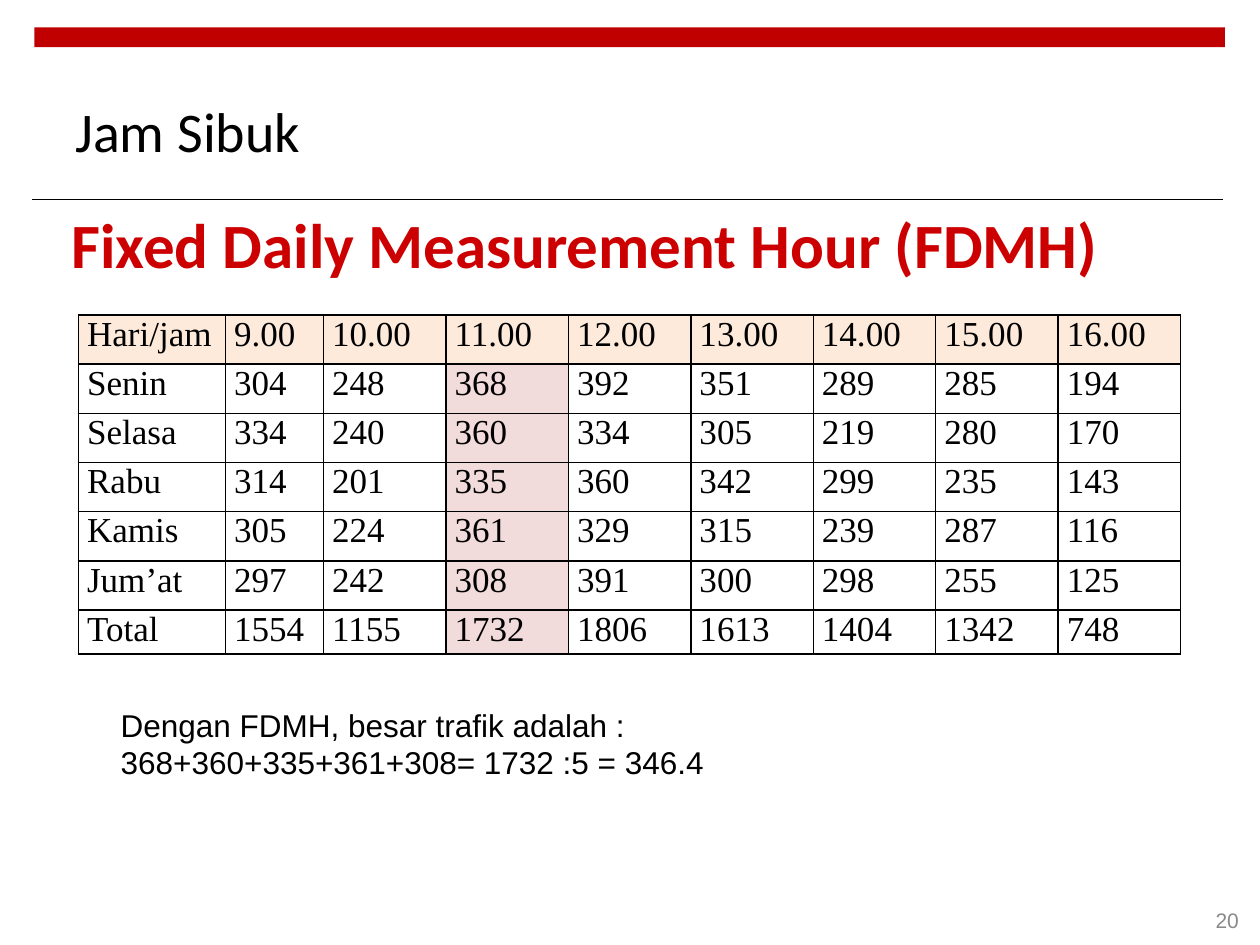
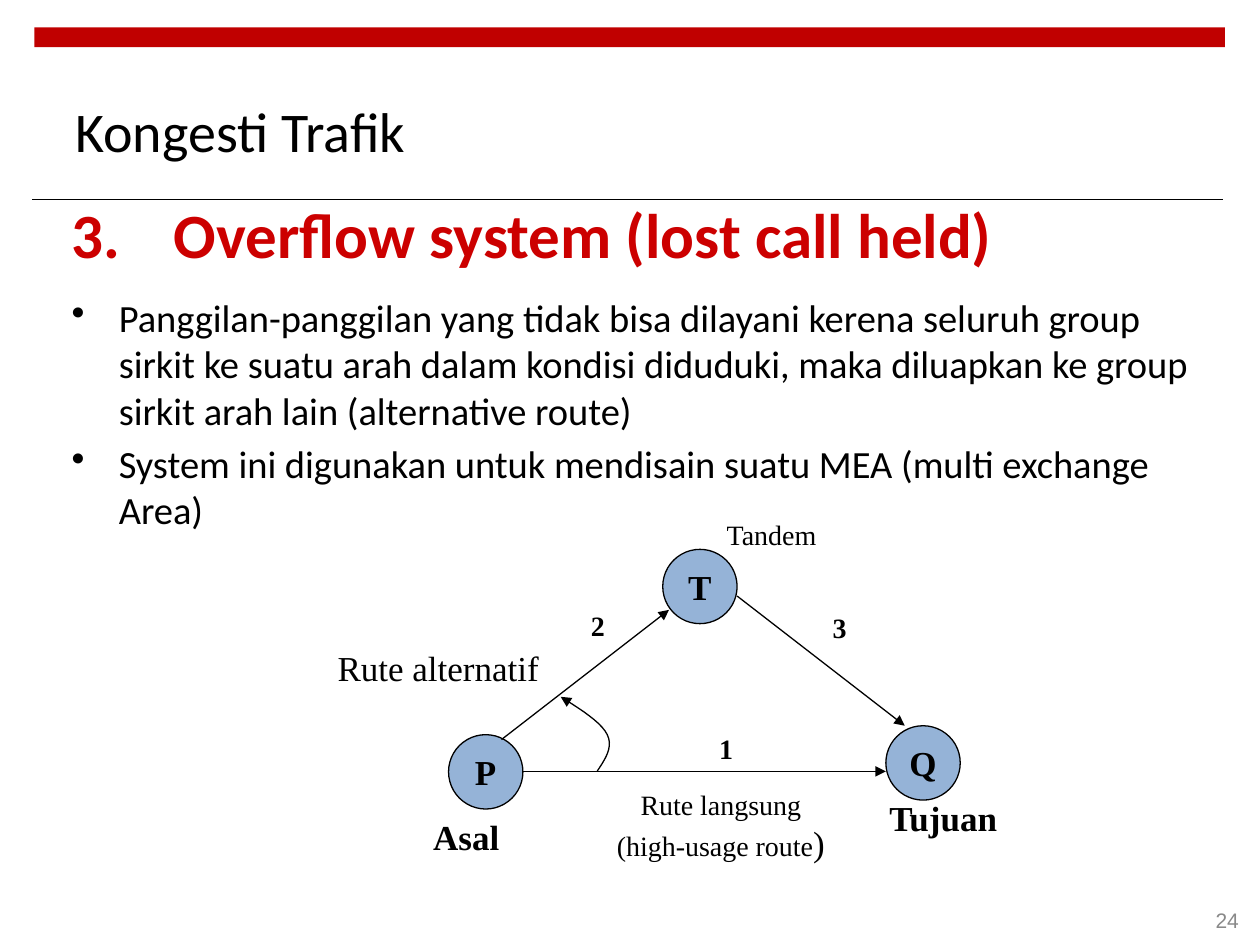
from lxml import etree
from pptx import Presentation
from pptx.dml.color import RGBColor
from pptx.enum.shapes import MSO_CONNECTOR, MSO_SHAPE
from pptx.enum.text import MSO_ANCHOR, PP_ALIGN
from pptx.oxml.ns import qn
from pptx.util import Pt

LEFT, MID, RIGHT, JUST = PP_ALIGN.LEFT, PP_ALIGN.CENTER, PP_ALIGN.RIGHT, PP_ALIGN.JUSTIFY
TOP, CENTER = MSO_ANCHOR.TOP, MSO_ANCHOR.MIDDLE
OVAL, RECT = MSO_SHAPE.OVAL, MSO_SHAPE.RECTANGLE
LINE = MSO_CONNECTOR.STRAIGHT

HUES = {
    "band": "C00000", "head": "CC0000", "ink": "000000", "page": "898989",
    "top": "FDEADA", "busy": "F2DCDB", "node": "95B3D7",
}
SANS, BODY, SERIF = "Arial", "Calibri", "Times New Roman"

HOURS = [
    ["Hari/jam", "9.00", "10.00", "11.00", "12.00", "13.00", "14.00", "15.00", "16.00"],
    ["Senin", "304", "248", "368", "392", "351", "289", "285", "194"],
    ["Selasa", "334", "240", "360", "334", "305", "219", "280", "170"],
    ["Rabu", "314", "201", "335", "360", "342", "299", "235", "143"],
    ["Kamis", "305", "224", "361", "329", "315", "239", "287", "116"],
    ["Jum’at", "297", "242", "308", "391", "300", "298", "255", "125"],
    ["Total", "1554", "1155", "1732", "1806", "1613", "1404", "1342", "748"],
]
WIDTHS = [84, 56] + [70] * 7
HEIGHTS = [28.1] * 6 + [25.2]
BUSY = 3
RESULT = ["Dengan FDMH, besar trafik adalah :", "368+360+335+361+308= 1732 :5 = 346.4"]

POINTS = [
    "Overflow system (lost call held)",
    "Panggilan-panggilan yang tidak bisa dilayani kerena seluruh group sirkit "
    "ke suatu arah dalam kondisi diduduki, maka diluapkan ke group sirkit arah "
    "lain (alternative route)",
    "System ini digunakan untuk mendisain suatu MEA (multi exchange Area)",
]
NODES = [("P", 256.3, 419.8), ("Q", 506.2, 414.7), ("T", 378.7, 313.9)]
SIZE = 42.5
ROUTES = [
    (298.8, 440.8, 506.2, 440.8),
    (286.6, 422.6, 382.3, 348.5),
    (421.2, 340.6, 517, 414.7),
]
BEND = [
    [(341.3, 440.6), (345.6, 434.2), (350.6, 427), (347, 419.8)],
    [(347, 419.8), (343.4, 412.6), (331.9, 405.4), (320.4, 398.2)],
]
LABELS = [
    ("1", 403.9, 414.7, 22.3, 26.6, 16, True),
    ("2", 330.5, 344.2, 22.3, 26.6, 16, True),
    ("3", 468.7, 345.6, 22.3, 26.6, 16, True),
    ("Asal", 240.5, 462.2, 52.6, 31.7, 20, True),
    ("Tujuan", 501.1, 451.4, 76.3, 31.7, 20, True),
    ("Tandem", 408.2, 292.3, 66.2, 26.6, 16, False),
]


def hue(name):
    return RGBColor.from_string(HUES[name])


def style(part, face, size, color="ink", bold=False):
    font = part.font
    font.name, font.size, font.bold = face, Pt(size), bold
    font.color.rgb = hue(color)


def text(slide, lines, at, face, size, color="ink", bold=False,
         align=LEFT, anchor=TOP, wrap=True):
    frame = slide.shapes.add_textbox(*map(Pt, at)).text_frame
    frame.word_wrap, frame.vertical_anchor = wrap, anchor
    frame.text = "\n".join(lines)
    for para in frame.paragraphs:
        para.alignment = align
        for run in para.runs:
            style(run, face, size, color, bold)
    return frame


def shape(slide, kind, at, fill, line=None):
    item = slide.shapes.add_shape(kind, *map(Pt, at))
    item.shadow.inherit = False
    item.fill.solid()
    item.fill.fore_color.rgb = hue(fill)
    if line:
        item.line.color.rgb = hue("ink")
        item.line.width = Pt(line)
    else:
        item.line.fill.background()
    return item


def ink(item, width, arrow=False):
    item.line.color.rgb = hue("ink")
    item.line.width = Pt(width)
    if arrow:
        etree.SubElement(item.line._get_or_add_ln(), qn("a:tailEnd"),
                         type="triangle", w="med", len="med")


def link(slide, ends, width, arrow=False):
    item = slide.shapes.add_connector(LINE, *map(Pt, ends))
    ink(item, width, arrow)
    etree.SubElement(item._element.spPr, qn("a:effectLst"))


def mark(para, indent, tag, **attrs):
    props = para._p.get_or_add_pPr()
    props.set("marL", str(Pt(indent)))
    props.set("indent", str(-Pt(indent)))
    etree.SubElement(props, qn(tag), **attrs)


def base(deck, title, page):
    slide = deck.slides.add_slide(deck.slide_layouts[6])
    shape(slide, RECT, (19.6, 15.6, 680.4, 11.3), "band")
    link(slide, (18.5, 114.2, 698.6, 114.2), 0.6)
    text(slide, [title], (36, 37.4, 479.5, 74.2), BODY, 32, anchor=CENTER)
    text(slide, [page], (547.2, 511.2, 167.8, 28.8), SANS, 12, "page",
         align=RIGHT, anchor=CENTER)
    return slide


def border(cell):
    props = cell._tc.get_or_add_tcPr()
    for side in "LRTB":
        edge = etree.SubElement(props, qn("a:ln" + side), w=str(Pt(1)))
        fill = etree.SubElement(edge, qn("a:solidFill"))
        etree.SubElement(fill, qn("a:srgbClr"), val=HUES["ink"])


def grid(slide):
    at = (44.8, 180, sum(WIDTHS), sum(HEIGHTS))
    table = slide.shapes.add_table(len(HOURS), len(WIDTHS), *map(Pt, at)).table
    table.first_row = table.horz_banding = False
    for col, width in zip(table.columns, WIDTHS):
        col.width = Pt(width)
    for row, height in zip(table.rows, HEIGHTS):
        row.height = Pt(height)
    for r, row in enumerate(HOURS):
        for c, value in enumerate(row):
            cell = table.cell(r, c)
            cell.margin_left = cell.margin_right = Pt(5)
            cell.margin_top = cell.margin_bottom = Pt(0)
            cell.text = value
            para = cell.text_frame.paragraphs[0]
            para.alignment = JUST
            style(para.runs[0], SERIF, 20)
            border(cell)
            if r == 0 or c == BUSY:
                cell.fill.solid()
                cell.fill.fore_color.rgb = hue("busy" if r else "top")
            else:
                cell.fill.background()


def bend(slide):
    steps = 10
    spots = []
    for a, b, c, d in BEND:
        for n in range(1, steps + 1):
            t = n / steps
            u = 1 - t
            spots.append(tuple(
                Pt(u**3 * a[k] + 3 * u * u * t * b[k] + 3 * u * t * t * c[k] + t**3 * d[k])
                for k in (0, 1)))
    start = BEND[0][0]
    path = slide.shapes.build_freeform(Pt(start[0]), Pt(start[1]))
    path.add_line_segments(spots, close=False)
    item = path.convert_to_shape()
    item.shadow.inherit = False
    item.fill.background()
    ink(item, 0.75, True)


def busy(deck):
    slide = base(deck, "Jam Sibuk", "20")
    text(slide, ["Fixed Daily Measurement Hour (FDMH)"], (33.8, 114, 648, 54),
         BODY, 36, "head", True)
    grid(slide)
    text(slide, RESULT, (61.9, 399.6, 360, 51.1), SANS, 18)


def jam(deck):
    slide = base(deck, "Kongesti Trafik", "24")
    frame = text(slide, POINTS, (33.8, 108, 658, 224.6), BODY, 22)
    head, first, last = frame.paragraphs
    first.space_before, last.space_before = Pt(13.4), Pt(4)
    mark(head, 58.5, "a:buAutoNum", type="arabicPeriod", startAt="3")
    style(head.runs[0], BODY, 36, "head", True)
    for para in (first, last):
        mark(para, 27, "a:buChar", char="•")

    for name, x, y in NODES:
        node = shape(slide, OVAL, (x, y, SIZE, SIZE), "node", 0.75)
        frame = node.text_frame
        frame.word_wrap, frame.vertical_anchor = False, CENTER
        frame.text = name
        frame.paragraphs[0].alignment = MID
        style(frame.paragraphs[0].runs[0], SERIF, 20, bold=True)
    for ends in ROUTES:
        link(slide, ends, 0.75, True)
    bend(slide)

    for name, x, y, w, h, size, bold in LABELS:
        text(slide, [name], (x, y, w, h), SERIF, size, bold=bold, wrap=False)
    text(slide, ["Rute alternatif"], (185.8, 365.8, 163.4, 31.7), SERIF, 20)
    frame = text(slide, ["Rute langsung", "(high-usage route"],
                 (344.2, 446.4, 135.4, 51.1), SERIF, 16, align=MID, wrap=False)
    run = frame.paragraphs[1].add_run()
    run.text = ")"
    style(run, SERIF, 20)


def main():
    deck = Presentation()
    deck.slide_width, deck.slide_height = Pt(720), Pt(540)
    busy(deck)
    jam(deck)
    deck.save("out.pptx")


if __name__ == "__main__":
    main()
